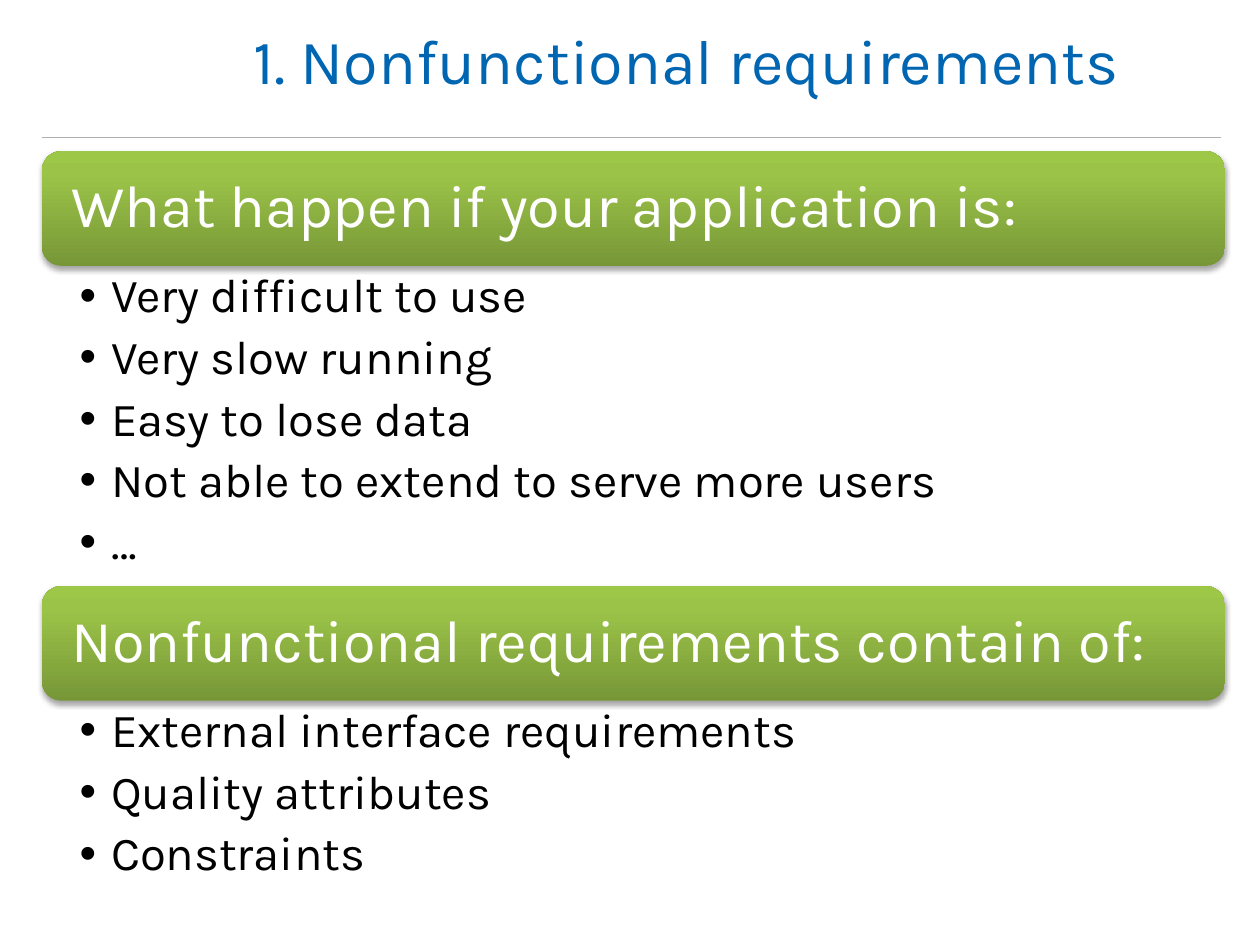
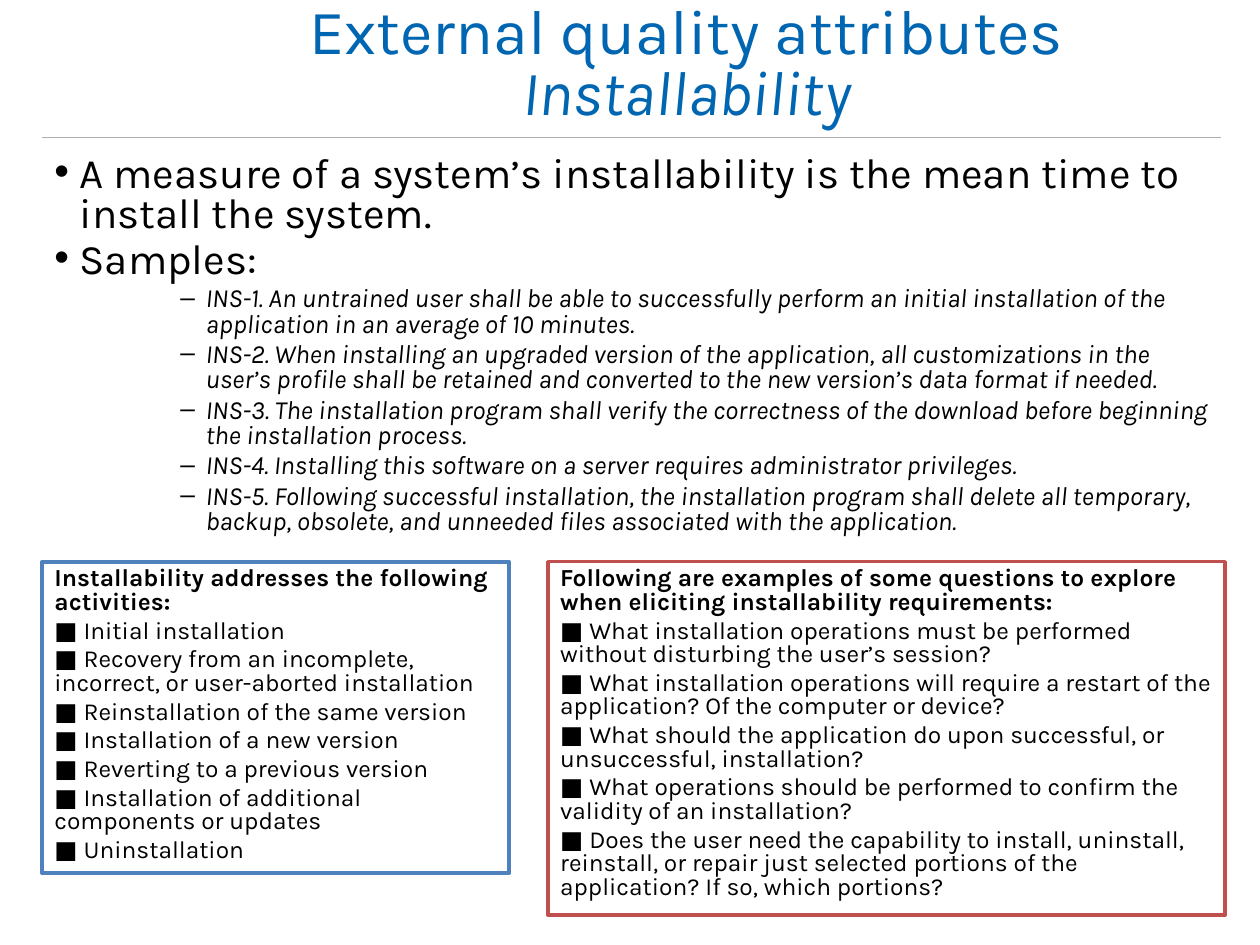
from copy import deepcopy
from dataclasses import dataclass
from typing import Optional

from lxml import etree
from pptx import Presentation
from pptx.dml.color import RGBColor
from pptx.enum.shapes import MSO_CONNECTOR, MSO_SHAPE
from pptx.enum.text import MSO_ANCHOR, PP_ALIGN
from pptx.oxml.ns import qn
from pptx.util import Pt

LINE = MSO_CONNECTOR.STRAIGHT
RECT = MSO_SHAPE.RECTANGLE
ROUND = MSO_SHAPE.ROUNDED_RECTANGLE
TOP, MIDDLE = MSO_ANCHOR.TOP, MSO_ANCHOR.MIDDLE
LEFT, CENTER = PP_ALIGN.LEFT, PP_ALIGN.CENTER


@dataclass(frozen=True)
class Theme:
    font: str = "Karla"
    title: str = "0066B2"
    ink: str = "000000"
    paper: str = "FFFFFF"
    rule: str = "AFAFAF"
    blue: str = "4F81BD"
    red: str = "C0504D"
    greens: tuple = ((0, "779737"), (0.8, "9BC348"), (1, "9DC746"))
    title_size: float = 36
    band_size: float = 34
    list_size: float = 27
    body_size: float = 24
    sample_size: float = 15
    note_size: float = 14


THEME = Theme()


@dataclass(frozen=True)
class Box:
    left: float
    top: float
    width: float
    height: float

    def lengths(self) -> tuple:
        return Pt(self.left), Pt(self.top), Pt(self.width), Pt(self.height)


@dataclass(frozen=True)
class Style:
    size: float
    color: str = THEME.ink
    bold: bool = False
    italic: bool = False
    align: PP_ALIGN = LEFT
    spacing: float = 0.8
    before: float = 0
    after: float = 0
    bullet: Optional[str] = None
    margin: float = 0
    hang: float = 0
    level: int = 0


@dataclass(frozen=True)
class Group:
    head: str
    items: tuple
    height: float


@dataclass(frozen=True)
class Note:
    box: Box
    color: str
    head: str
    items: tuple


TITLE = Style(THEME.title_size, THEME.title, align=CENTER)
SUBTITLE = Style(THEME.title_size, THEME.title, italic=True, align=CENTER)
BAND = Style(THEME.band_size, THEME.paper, spacing=0.9)
LIST = Style(THEME.list_size, spacing=0.9, after=6, bullet="•",
             margin=18, hang=18, level=1)
BODY = Style(THEME.body_size, before=3, bullet="•", margin=14.4, hang=14.4)
SAMPLE = Style(THEME.sample_size, italic=True, before=3, bullet="–",
               margin=86.4, hang=14.4, level=3)
HEAD = Style(THEME.note_size, bold=True)
ITEM = Style(THEME.note_size, before=3)

EDGE = 24
WIDTH = 676
RULE_END, RULE_TOP = 698, 78.5
TITLE_BOX = Box(84, 0.7, 616.5, 75)
BODY_BOX = Box(EDGE, 85.7, WIDTH, 214.5)
BAND_TOP, BAND_HEIGHT = 86.4, 65.5
NOTE_TOP = 321

GROUPS = (
    Group("What happen if your application is:",
          ("Very difficult to use", "Very slow running", "Easy to lose data",
           "Not able to extend to serve more users", "…"), 183),
    Group("Nonfunctional requirements contain of:",
          ("External interface requirements", "Quality attributes",
           "Constraints"), 111),
)
POINTS = (
    "A measure of a system’s installability is the mean time to install the system.",
    "Samples:",
)
SAMPLES = (
    "INS-1. An untrained user shall be able to successfully perform an initial "
    "installation of the application in an average of 10 minutes.",
    "INS-2. When installing an upgraded version of the application, all "
    "customizations in the user’s profile shall be retained and converted to the "
    "new version’s data format if needed.",
    "INS-3. The installation program shall verify the correctness of the download "
    "before beginning the installation process.",
    "INS-4. Installing this software on a server requires administrator privileges.",
    "INS-5. Following successful installation, the installation program shall "
    "delete all temporary, backup, obsolete, and unneeded files associated with "
    "the application.",
)
NOTES = (
    Note(Box(EDGE, NOTE_TOP, 267, 178), THEME.blue,
         "Installability addresses the following activities:",
         ("Initial installation",
          "Recovery from an incomplete, incorrect, or user-aborted installation",
          "Reinstallation of the same version",
          "Installation of a new version",
          "Reverting to a previous version",
          "Installation of additional components or updates",
          "Uninstallation")),
    Note(Box(313, NOTE_TOP, 387, 202), THEME.red,
         "Following are examples of some questions to explore when eliciting "
         "installability requirements:",
         ("What installation operations must be performed without disturbing "
          "the user’s session?",
          "What installation operations will require a restart of the "
          "application? Of the computer or device?",
          "What should the application do upon successful, or unsuccessful, "
          "installation?",
          "What operations should be performed to confirm the validity of an "
          "installation?",
          "Does the user need the capability to install, uninstall, reinstall, "
          "or repair just selected portions of the application? If so, which "
          "portions?")),
)


def rgb(color: str) -> RGBColor:
    return RGBColor.from_string(color)


def add_run(para, text: str, style: Style) -> None:
    run = para.add_run()
    run.text = text
    font = run.font
    font.name, font.size = THEME.font, Pt(style.size)
    font.bold, font.italic = style.bold, style.italic
    font.color.rgb = rgb(style.color)


def set_bullet(para, style: Style) -> None:
    props = para._p.get_or_add_pPr()
    props.set("marL", str(Pt(style.margin)))
    props.set("indent", str(-Pt(style.hang)))
    etree.SubElement(props, qn("a:buFont"), typeface="Arial")
    etree.SubElement(props, qn("a:buChar"), char=style.bullet)


def write(frame, rows: list, anchor=TOP, sides=(7.2, 7.2),
          ends: float = 3.6) -> None:
    """Fill a text frame with (text, style) rows, one paragraph each."""
    frame.word_wrap = True
    frame.vertical_anchor = anchor
    frame.margin_left, frame.margin_right = map(Pt, sides)
    frame.margin_top = frame.margin_bottom = Pt(ends)
    for index, (text, style) in enumerate(rows):
        para = frame.add_paragraph() if index else frame.paragraphs[0]
        if style.bullet:
            set_bullet(para, style)
        para.level = style.level
        para.alignment = style.align
        para.line_spacing = style.spacing
        para.space_before = Pt(style.before if index else 0)
        para.space_after = Pt(style.after)
        add_run(para, text, style)


def add_text(slide, box: Box, rows: list, **layout):
    frame = slide.shapes.add_textbox(*box.lengths()).text_frame
    write(frame, rows, **layout)
    return frame


def add_frame(deck, title: str, subtitle: str = ""):
    """Start a slide with the shared rule and title."""
    slide = deck.slides.add_slide(deck.slide_layouts[6])
    rule = slide.shapes.add_connector(
        LINE, Pt(EDGE), Pt(RULE_TOP), Pt(RULE_END), Pt(RULE_TOP))
    rule.line.color.rgb = rgb(THEME.rule)
    rule.line.width = Pt(0.75)
    etree.SubElement(rule._element.spPr, qn("a:effectLst"))
    frame = add_text(slide, TITLE_BOX, [(title, TITLE)], anchor=MIDDLE)
    if subtitle:
        para = frame.paragraphs[0]
        para.add_line_break()
        add_run(para, subtitle, SUBTITLE)
    return slide


def shade(shape) -> None:
    """Give a band its green blend, lightest at the top."""
    fill = shape.fill
    fill.gradient()
    fill.gradient_angle = 90
    stops = shape._element.spPr.find(".//" + qn("a:gsLst"))
    stops.append(deepcopy(stops[-1]))
    for stop, (place, color) in zip(fill.gradient_stops, THEME.greens):
        stop.position = place
        stop.color.rgb = rgb(color)


def drop_shadow(shape) -> None:
    shape.shadow.inherit = False
    effects = shape._element.spPr.find(qn("a:effectLst"))
    outer = etree.SubElement(
        effects, qn("a:outerShdw"), blurRad=str(Pt(3.1)), dist=str(Pt(1.8)),
        dir="5400000", rotWithShape="0")
    color = etree.SubElement(outer, qn("a:srgbClr"), val=THEME.ink)
    etree.SubElement(color, qn("a:alpha"), val="35000")


def add_band(slide, box: Box, text: str) -> None:
    band = slide.shapes.add_shape(ROUND, *box.lengths())
    shade(band)
    band.line.fill.background()
    drop_shadow(band)
    write(band.text_frame, [(text, BAND)], anchor=MIDDLE, sides=(13.7, 13.7))


def add_note(slide, note: Note) -> None:
    shape = slide.shapes.add_shape(RECT, *note.box.lengths())
    shape.shadow.inherit = False
    shape.fill.solid()
    shape.fill.fore_color.rgb = rgb(THEME.paper)
    shape.line.color.rgb = rgb(note.color)
    shape.line.width = Pt(2)
    items = [("■ " + item, ITEM) for item in note.items]
    write(shape.text_frame, [(note.head, HEAD)] + items)


def add_needs(deck) -> None:
    slide = add_frame(deck, "1. Nonfunctional requirements")
    top = BAND_TOP
    for group in GROUPS:
        add_band(slide, Box(EDGE, top, WIDTH, BAND_HEIGHT), group.head)
        top += BAND_HEIGHT
        add_text(slide, Box(EDGE, top, WIDTH, group.height),
                 [(item, LIST) for item in group.items], sides=(21.5, 18.7))
        top += group.height


def add_install(deck) -> None:
    slide = add_frame(deck, "External quality attributes", "Installability")
    rows = [(text, BODY) for text in POINTS]
    rows += [(text, SAMPLE) for text in SAMPLES]
    add_text(slide, BODY_BOX, rows)
    for note in NOTES:
        add_note(slide, note)


def main() -> None:
    deck = Presentation()
    deck.slide_width, deck.slide_height = Pt(720), Pt(540)
    add_needs(deck)
    add_install(deck)
    deck.save("out.pptx")


if __name__ == "__main__":
    main()
